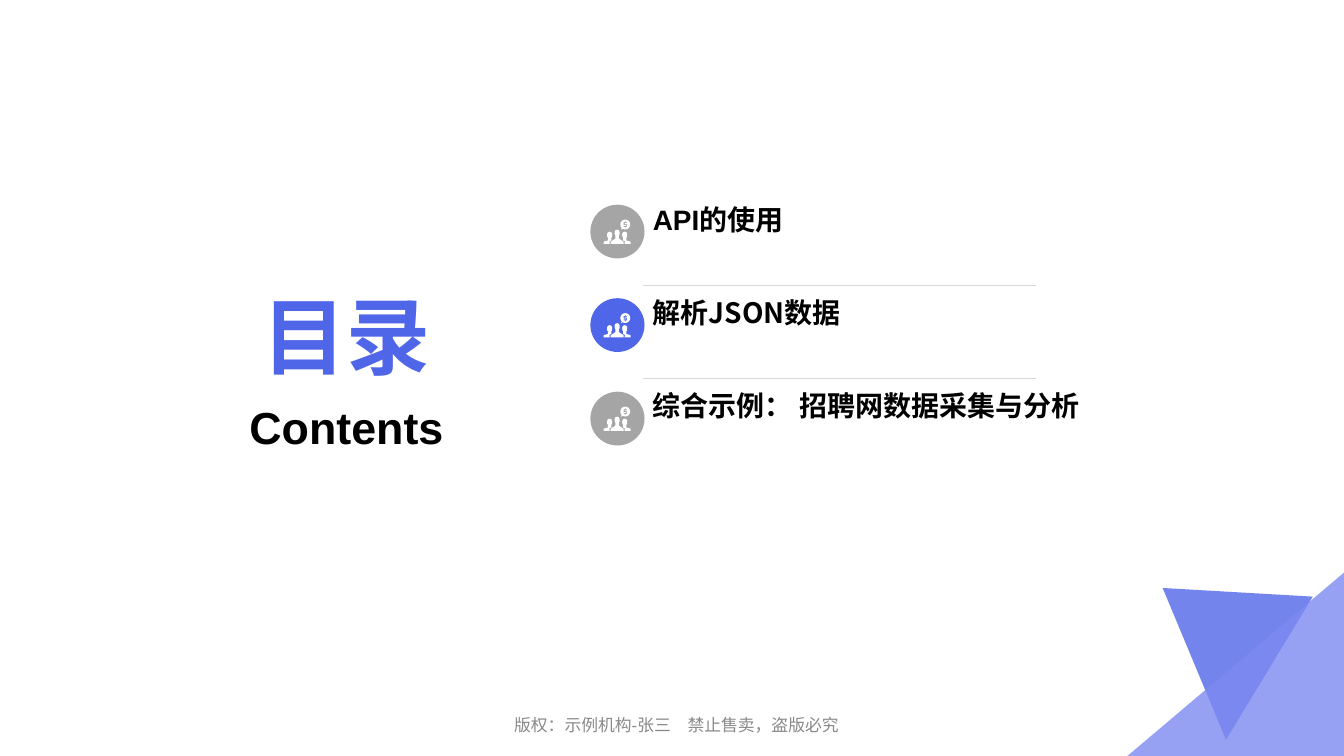
import math
from dataclasses import dataclass

import lxml.etree
import pptx
import pptx.dml.color
import pptx.enum.shapes
import pptx.enum.text
import pptx.oxml.ns
import pptx.util

Pt = pptx.util.Pt
qn = pptx.oxml.ns.qn
ALIGN = pptx.enum.text.PP_ALIGN
ANCHOR = pptx.enum.text.MSO_ANCHOR
Point = tuple[float, float]


@dataclass(frozen=True)
class Theme:
    accent: str = "5066E9"
    light: str = "7E8AF1"
    grey: str = "A5A5A5"
    rule: str = "D8D8D8"
    footer: str = "898989"
    black: str = "000000"
    white: str = "FFFFFF"
    latin: str = "Arial"
    cjk: str = "Noto Sans CJK SC"
    title_size: float = 60
    subtitle_size: float = 32
    item_size: float = 20
    footer_size: float = 12


@dataclass(frozen=True)
class Item:
    text: str
    color: str
    font: str
    width: float


@dataclass(frozen=True)
class Triangle:
    points: list[Point]
    color: str


T = Theme()
ITEMS = [
    Item("API的使用", T.grey, T.latin, 281.5),
    Item("解析JSON数据", T.accent, T.cjk, 281.5),
    Item("综合示例： 招聘网数据采集与分析", T.grey, T.cjk, 357),
]
TRIANGLES = [
    Triangle([(938.2, 426.2), (876.2, 528.5), (830.9, 420)], T.accent),
    Triangle([(960.5, 540), (805.7, 540), (960.5, 409)], T.light),
]
DOLLAR = [
    (0.3, -1.6), (0.3, -2.2), (-0.3, -2.2), (-0.3, -1.6), (-1.1, -1.6),
    (-1.1, 0.4), (0.4, 0.4), (0.4, 1), (-1.1, 1), (-1.1, 1.7), (-0.3, 1.7),
    (-0.3, 2.3), (0.3, 2.3), (0.3, 1.7), (1.1, 1.7), (1.1, -0.3),
    (-0.4, -0.3), (-0.4, -0.9), (1.1, -0.9), (1.1, -1.6),
]
CIRCLE_PITCH = 66.8
TEXT_PITCH = 66.3


def rgb(color: str) -> pptx.dml.color.RGBColor:
    return pptx.dml.color.RGBColor.from_string(color)


def paint(sp, color: str, alpha: int = 100) -> None:
    sp.shadow.inherit = False
    sp.line.fill.background()
    sp.fill.solid()
    sp.fill.fore_color.rgb = rgb(color)
    if alpha < 100:
        clr = sp._element.spPr.find(qn("a:solidFill"))[0]
        lxml.etree.SubElement(clr, qn("a:alpha"), val=str(alpha * 1000))


def add_text(s, text: str, x: float, y: float, w: float, h: float, *,
             size: float, color: str = T.black, font: str = T.latin,
             bold: bool = True, align=ALIGN.LEFT, anchor=ANCHOR.MIDDLE,
             bottom: float = 3.6, spacing: float = 1.0) -> None:
    tf = s.shapes.add_textbox(Pt(x), Pt(y), Pt(w), Pt(h)).text_frame
    tf.word_wrap = True
    tf.vertical_anchor = anchor
    tf.margin_bottom = Pt(bottom)
    p = tf.paragraphs[0]
    p.alignment = align
    p.line_spacing = spacing
    r = p.add_run()
    r.text = text
    r.font.name = font
    r.font.size = Pt(size)
    r.font.bold = bold
    r.font.color.rgb = rgb(color)
    lxml.etree.SubElement(r._r.rPr, qn("a:ea"), typeface=T.cjk)


def add_outline(s, contours: list[list[Point]], color: str,
                x: float = 0, y: float = 0, alpha: int = 100) -> None:
    placed = [[(Pt(x + px), Pt(y + py)) for px, py in c] for c in contours]
    fb = s.shapes.build_freeform(*placed[0][0])
    for i, contour in enumerate(placed):
        if i:
            fb.move_to(*contour[0])
        fb.add_line_segments(contour[1:], close=True)
    paint(fb.convert_to_shape(), color, alpha)


def person(cx: float, top: float, left: float, right: float) -> list[Point]:
    def side(sign: int, edge: float) -> list[Point]:
        return [
            (cx + sign * 1.2, top + 0.4), (cx + sign * 1.8, top + 1.6),
            (cx + sign * 1.7, top + 3.6), (cx + sign * 1.2, top + 4.4),
            (cx + sign * 1.2, top + 6.3), (edge - sign * 0.4, 15.6),
            (edge, 16.1), (edge, 17.3),
        ]
    return [(cx, top)] + side(-1, left) + side(1, right)[::-1]


def bubble(cx: float, cy: float, radius: float) -> list[Point]:
    angles = [math.radians(a) for a in range(-210, 121, 15)]
    arc = [(cx + radius * math.cos(a), cy + radius * math.sin(a)) for a in angles]
    return arc + [(12.3, 7.2), (13, 6)]


def add_icon(s, x: float, y: float) -> None:
    cx, cy = 15.5, 3.5
    add_outline(s, [
        person(4.3, 8.6, 0, 4.3),
        person(9.7, 7.2, 5, 14.4),
        person(15.1, 8.6, 15.1, 19.4),
        bubble(cx, cy, 3.5),
        [(cx + dx, cy + dy) for dx, dy in DOLLAR],
    ], T.white, x, y)


def add_item(s, item: Item, row: int) -> None:
    x, y = 421.9, 146.2 + row * CIRCLE_PITCH
    sp = s.shapes.add_shape(pptx.enum.shapes.MSO_SHAPE.OVAL,
                            Pt(x), Pt(y), Pt(38.7), Pt(38.4))
    paint(sp, item.color)
    add_icon(s, x + 9.5, y + 10.7)
    add_text(s, item.text, 459.4, 139.7 + row * TEXT_PITCH, item.width, 30.2,
             size=T.item_size, font=item.font, bottom=0)


def add_divider(s, y: float) -> None:
    c = s.shapes.add_connector(pptx.enum.shapes.MSO_CONNECTOR.STRAIGHT,
                               Pt(459.4), Pt(y), Pt(740.2), Pt(y))
    c.line.color.rgb = rgb(T.rule)
    c.line.width = Pt(0.25)
    lxml.etree.SubElement(c._element.spPr, qn("a:effectLst"))


def main() -> None:
    prs = pptx.Presentation()
    prs.slide_width, prs.slide_height = Pt(960.5), Pt(540)
    s = prs.slides.add_slide(prs.slide_layouts[6])
    add_text(s, "版权：示例机构-张三　禁止售卖，盗版必究", 327.6, 504, 311.8, 25.2,
             size=T.footer_size, color=T.footer, bold=False,
             align=ALIGN.CENTER, spacing=1.2)
    for triangle in TRIANGLES:
        add_outline(s, [triangle.points], triangle.color, alpha=80)
    for row, item in enumerate(ITEMS):
        add_item(s, item, row)
    for gap in range(len(ITEMS) - 1):
        add_divider(s, 203.8 + gap * TEXT_PITCH)
    add_text(s, "目录", 150.5, 188.6, 194.4, 90, size=T.title_size,
             color=T.accent, align=ALIGN.CENTER, anchor=ANCHOR.BOTTOM)
    add_text(s, "Contents", 150.5, 282.2, 194.4, 39.6, size=T.subtitle_size,
             align=ALIGN.CENTER, anchor=ANCHOR.TOP)
    prs.save("out.pptx")


if __name__ == "__main__":
    main()
